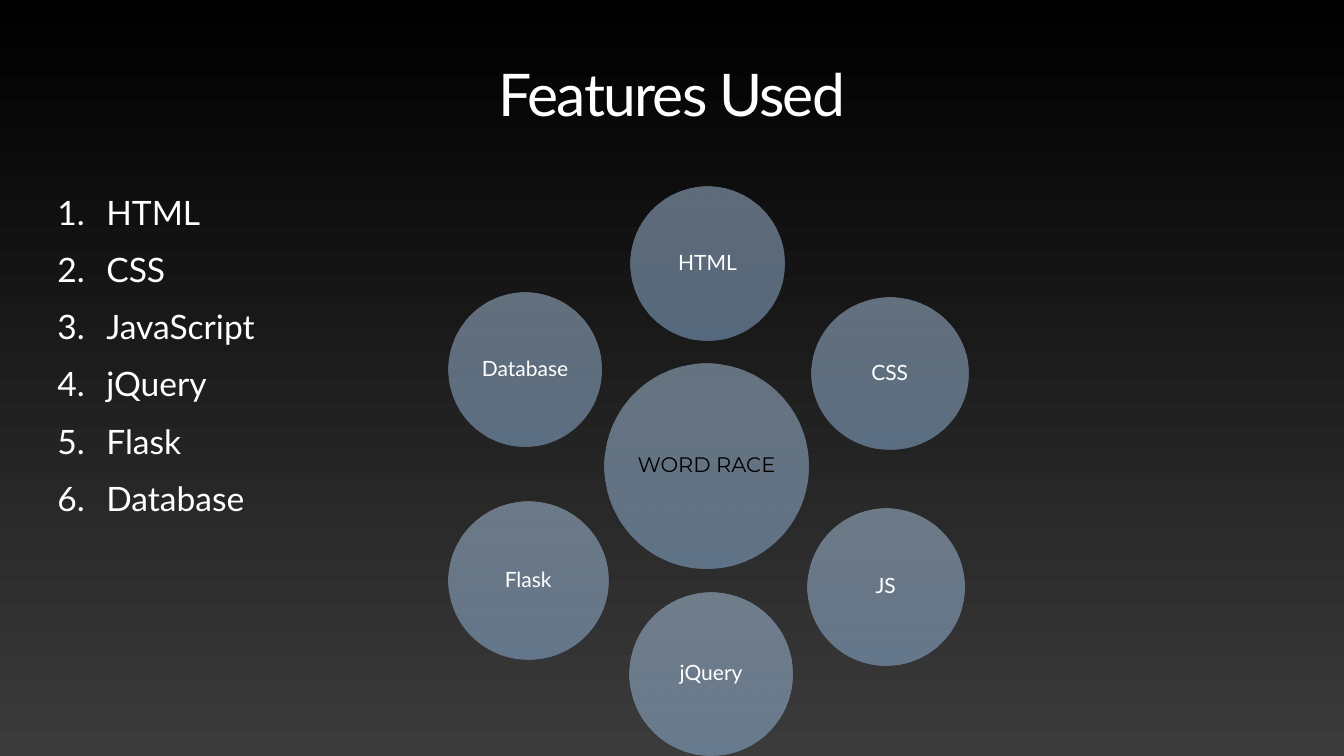
from lxml import etree
from pptx import Presentation, util as u
from pptx.dml.color import RGBColor
from pptx.enum import shapes, text
from pptx.oxml.ns import qn

WIDE, HIGH = 26.67, 15
UNIT = WIDE / 100
WHITE = "FFFFFF"
TINTS = [(0, "B2CCE7"), (50, "A4C2E2"), (100, "95BAE1")]
ITEMS = ["HTML", "CSS", "JavaScript", "jQuery", "Flask", "Database"]
DISCS = [
    ("HTML", 52.64, 19.61, 11.4, 11.4, "Lato", WHITE),
    ("WORD RACE", 52.57, 34.68, 15.22, 15.22, "Montserrat", "000000"),
    ("CSS", 66.2, 27.78, 11.66, 11.32, "Lato", WHITE),
    ("Flask", 39.3, 43.19, 11.92, 11.7, "Lato", WHITE),
    ("jQuery", 52.91, 50.13, 12.15, 12.15, "Lato", WHITE),
    ("Database", 39.07, 27.48, 11.4, 11.4, "Lato", WHITE),
    ("JS", 65.9, 43.66, 11.66, 11.66, "Lato", WHITE),
]


def hue(code):
    return RGBColor.from_string(code)


def area(*cells):
    return [u.Inches(cell * UNIT) for cell in cells]


def blend(fill, root, stops, alpha=100):
    fill.gradient()
    fill.gradient_angle = 270
    group = next(root.iter(qn("a:gsLst")))
    for old in list(group):
        group.remove(old)
    for spot, code in stops:
        stop = etree.SubElement(group, qn("a:gs"), pos=str(spot * 1000))
        tone = etree.SubElement(stop, qn("a:srgbClr"), val=code)
        if alpha < 100:
            etree.SubElement(tone, qn("a:alpha"), val=str(alpha * 1000))


def frame(shape, pad, anchor):
    body = shape.text_frame
    body.word_wrap = True
    body.vertical_anchor = anchor
    body.margin_left = body.margin_right = u.Inches(pad)
    body.margin_top = body.margin_bottom = u.Inches(pad)
    return body


def write(para, words, size, face=WHITE, font="Lato"):
    run = para.add_run()
    run.text = words
    run.font.size = u.Pt(size)
    run.font.name = font
    run.font.color.rgb = hue(face)
    return run


def title(slide, words):
    box = slide.shapes.add_textbox(*area(5.21, 3.34, 89.58, 6.37))
    para = frame(box, 0.06, text.MSO_ANCHOR.BOTTOM).paragraphs[0]
    para.alignment = text.PP_ALIGN.CENTER
    para.line_spacing = 0.8
    run = write(para, words, 84)
    run.font._element.set("spc", "-250")


def listing(slide, items):
    box = slide.shapes.add_textbox(*area(4.05, 14.06, 30, 34.57))
    body = frame(box, 0.06, text.MSO_ANCHOR.TOP)
    for rank, item in enumerate(items):
        para = body.add_paragraph() if rank else body.paragraphs[0]
        props = para._p.get_or_add_pPr()
        props.set("marL", str(u.Inches(0.97)))
        props.set("indent", str(u.Inches(-0.97)))
        etree.SubElement(props, qn("a:buFont"), typeface="+mj-lt")
        etree.SubElement(props, qn("a:buAutoNum"), type="arabicPeriod")
        if rank:
            para.space_before = u.Pt(24)
        write(para, item, 48)


def disc(slide, words, mid_x, mid_y, wide, high, font, face):
    shape = slide.shapes.add_shape(
        shapes.MSO_SHAPE.OVAL,
        *area(mid_x - wide / 2, mid_y - high / 2, wide, high))
    shape.shadow.inherit = False
    shape.line.fill.background()
    blend(shape.fill, shape._element, TINTS, 50)
    para = frame(shape, 0.05, text.MSO_ANCHOR.MIDDLE).paragraphs[0]
    para.alignment = text.PP_ALIGN.CENTER
    para.line_spacing = 0.9
    write(para, words, 30, face, font)


def main():
    deck = Presentation()
    deck.slide_width, deck.slide_height = u.Inches(WIDE), u.Inches(HIGH)
    slide = deck.slides.add_slide(deck.slide_layouts[6])
    blend(slide.background.fill, slide._element,
          [(0, "000000"), (100, "3B3B3B")])
    title(slide, "Features Used")
    listing(slide, ITEMS)
    for row in DISCS:
        disc(slide, *row)
    deck.save("out.pptx")


if __name__ == "__main__":
    main()
